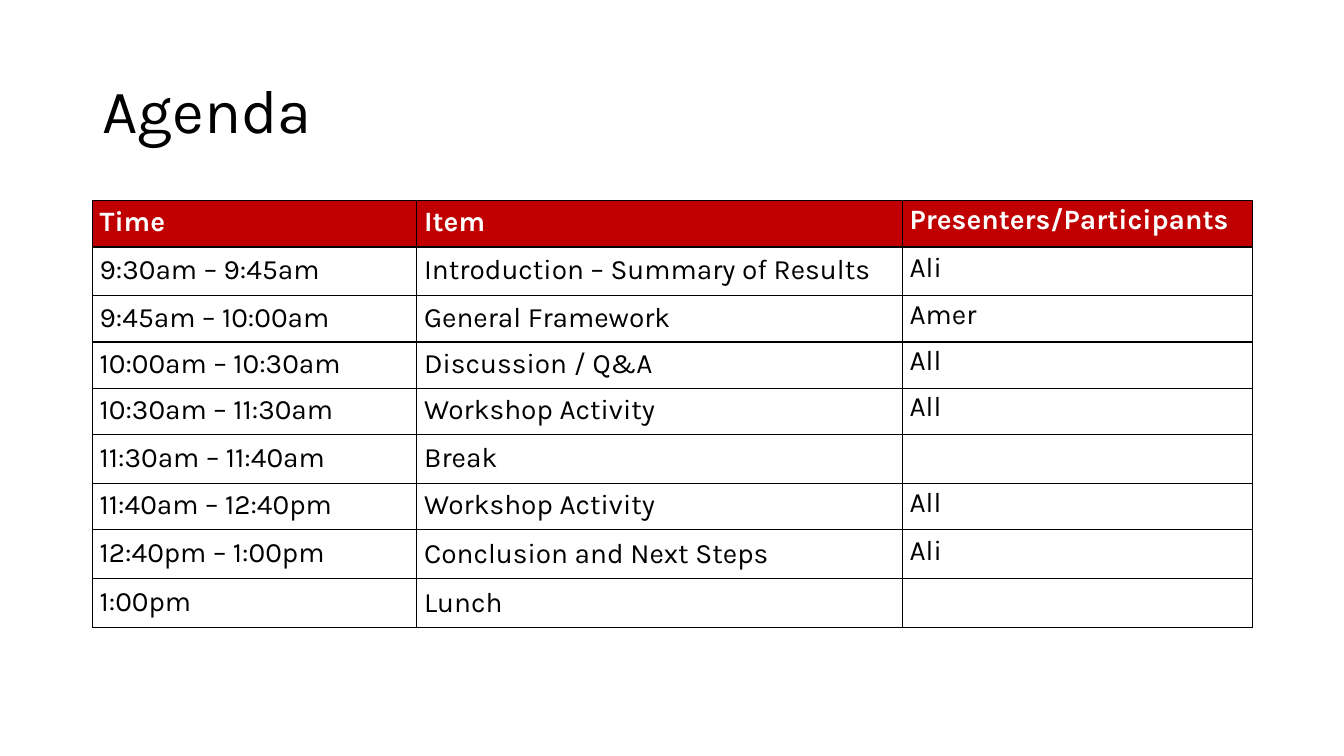
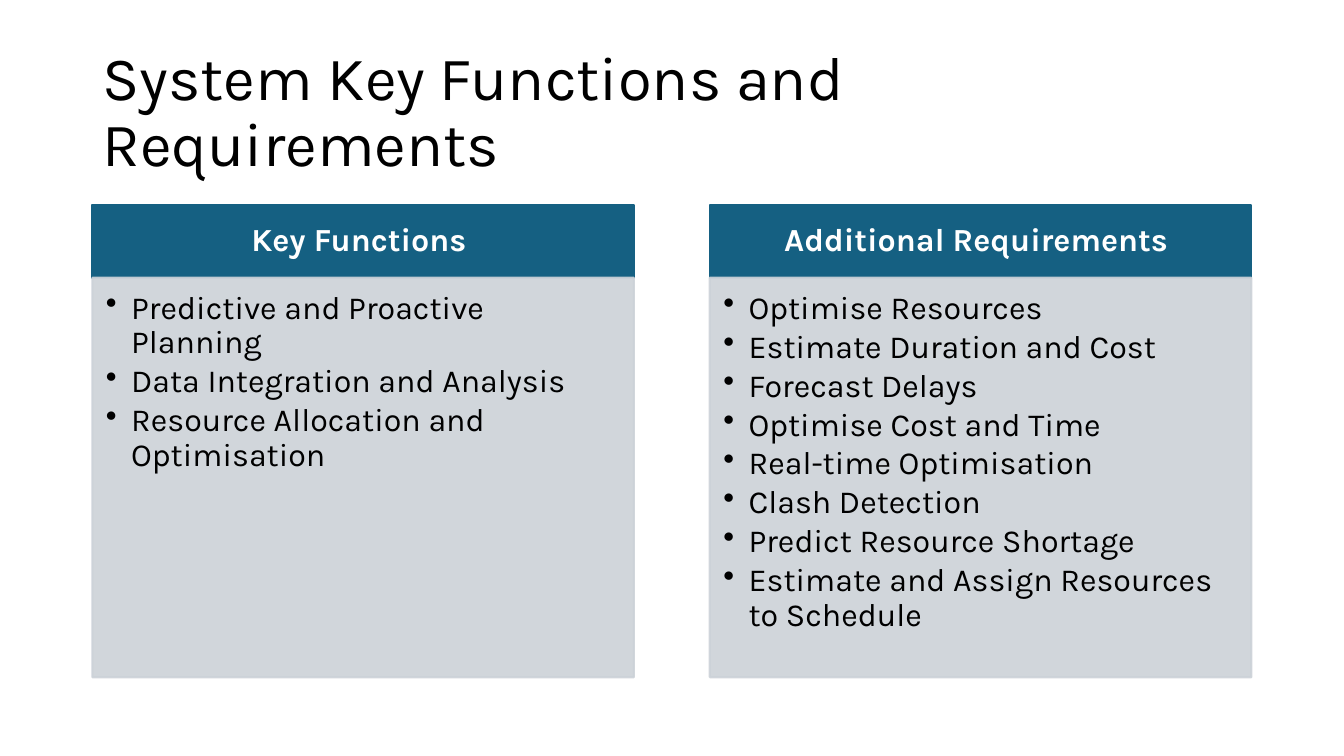
"""Build a two-slide deck: a workshop agenda and a pair of requirement panels."""
from lxml import etree
from pptx import Presentation
from pptx.dml.color import RGBColor
from pptx.enum import shapes, text
from pptx.oxml import ns
from pptx.util import Pt

COLOURS = {"ink": "000000", "paper": "FFFFFF", "header": "C00000",
           "heading": "156082", "panel": "CCD2D8"}
FONT = "Karla"
LEFT = 66
TITLE_BOX = (LEFT, 29, 828, 104)

AGENDA = [
    ("Time", "Item", "Presenters/Participants"),
    ("9:30am – 9:45am", "Introduction – Summary of Results", "Ali"),
    ("9:45am – 10:00am", "General Framework", "Amer"),
    ("10:00am – 10:30am", "Discussion / Q&A", "All"),
    ("10:30am – 11:30am", "Workshop Activity", "All"),
    ("11:30am – 11:40am", "Break", ""),
    ("11:40am – 12:40pm", "Workshop Activity", "All"),
    ("12:40pm – 1:00pm", "Conclusion and Next Steps", "Ali"),
    ("1:00pm", "Lunch", ""),
]
COLUMN_WIDTHS = (231.8, 346.8, 250)
ROW_HEIGHT, TALL_ROW_HEIGHT = 33.1, 34.9
TALL_ROWS = {1, 5, 7, 8}
NATURAL_SPACING = {"Ali", "Conclusion and Next Steps", "Lunch"}

PANELS = [
    ("Key Functions ", [
        "Predictive and Proactive Planning",
        "Data Integration and Analysis",
        "Resource Allocation and Optimisation",
    ]),
    ("Additional Requirements ", [
        "Optimise Resources",
        "Estimate Duration and Cost",
        "Forecast Delays",
        "Optimise Cost and Time",
        "Real-time Optimisation",
        "Clash Detection",
        "Predict Resource Shortage",
        "Estimate and Assign Resources to Schedule",
    ]),
]
PANEL_WIDTH, PANEL_PITCH = 386.8, 441
HEADING_TOP, HEADING_HEIGHT, LIST_HEIGHT = 146.4, 52, 285.4


def colour(name):
    return RGBColor.from_string(COLOURS[name])


def style(para, size, ink="ink", bold=False):
    para.font.name = FONT
    para.font.size = Pt(size)
    para.font.bold = bold
    para.font.color.rgb = colour(ink)


def set_insets(target, left, top, right, bottom):
    target.margin_left, target.margin_top = Pt(left), Pt(top)
    target.margin_right, target.margin_bottom = Pt(right), Pt(bottom)


def add_page(deck, title):
    page = deck.slides.add_slide(deck.slide_layouts[5])
    box = page.shapes.title
    box.left, box.top, box.width, box.height = map(Pt, TITLE_BOX)
    frame = box.text_frame
    frame.text = title
    frame.word_wrap = True
    frame.auto_size = text.MSO_AUTO_SIZE.NONE
    frame.vertical_anchor = text.MSO_ANCHOR.MIDDLE
    para = frame.paragraphs[0]
    para.alignment = text.PP_ALIGN.LEFT
    para.line_spacing = 0.9
    style(para, 44)
    return page


def add_borders(cell):
    properties = cell._tc.get_or_add_tcPr()
    for side in ("lnL", "lnR", "lnT", "lnB"):
        line = etree.SubElement(properties, ns.qn(f"a:{side}"), w=str(Pt(0.95)))
        fill = etree.SubElement(line, ns.qn("a:solidFill"))
        etree.SubElement(fill, ns.qn("a:srgbClr"), val=COLOURS["ink"])


def fill_cell(cell, words, is_header, is_last_column):
    add_borders(cell)
    if is_header:
        cell.fill.solid()
        cell.fill.fore_color.rgb = colour("header")
    else:
        cell.fill.background()
    set_insets(cell, 5.2, 3.6, 5.2, 3.6)
    cell.vertical_anchor = text.MSO_ANCHOR.TOP if is_last_column else text.MSO_ANCHOR.MIDDLE
    cell.text = words
    para = cell.text_frame.paragraphs[0]
    if words not in NATURAL_SPACING:
        para.line_spacing = Pt(21.8)
    style(para, 20, "paper" if is_header else "ink", is_header)


def add_agenda(page):
    heights = [TALL_ROW_HEIGHT if index in TALL_ROWS else ROW_HEIGHT
               for index in range(len(AGENDA))]
    frame = page.shapes.add_table(len(AGENDA), len(COLUMN_WIDTHS), Pt(LEFT), Pt(143.3),
                                  Pt(sum(COLUMN_WIDTHS)), Pt(sum(heights)))
    table = frame.table
    table.first_row = table.horz_banding = False
    for column, width in zip(table.columns, COLUMN_WIDTHS):
        column.width = Pt(width)
    for row_index, (row, height, entries) in enumerate(zip(table.rows, heights, AGENDA)):
        row.height = Pt(height)
        for column_index, words in enumerate(entries):
            fill_cell(row.cells[column_index], words, row_index == 0,
                      column_index == len(entries) - 1)


def add_block(page, left, top, height, name, opacity=100):
    block = page.shapes.add_shape(shapes.MSO_SHAPE.RECTANGLE, Pt(left), Pt(top),
                                  Pt(PANEL_WIDTH), Pt(height))
    block.shadow.inherit = False
    block.fill.solid()
    block.fill.fore_color.rgb = colour(name)
    block.line.color.rgb = colour(name)
    block.line.width = Pt(1.5)
    if opacity < 100:
        for tint in block._element.spPr.iter(ns.qn("a:srgbClr")):
            etree.SubElement(tint, ns.qn("a:alpha"), val=str(opacity * 1000))
    block.text_frame.word_wrap = True
    return block


def add_bullet(para):
    properties = para._p.get_or_add_pPr()
    properties.set("marL", str(Pt(18)))
    properties.set("indent", str(-Pt(18)))
    etree.SubElement(properties, ns.qn("a:buChar"), char="•")


def add_panel(page, left, heading, items):
    frame = add_block(page, left, HEADING_TOP, HEADING_HEIGHT, "heading").text_frame
    set_insets(frame, 12.9, 7.4, 12.9, 7.4)
    frame.vertical_anchor = text.MSO_ANCHOR.MIDDLE
    frame.text = heading
    para = frame.paragraphs[0]
    para.alignment = text.PP_ALIGN.CENTER
    para.line_spacing = 0.9
    style(para, 23, "paper", True)

    frame = add_block(page, left, HEADING_TOP + HEADING_HEIGHT, LIST_HEIGHT,
                      "panel", 90).text_frame
    set_insets(frame, 9.7, 9.7, 12.9, 14.5)
    frame.vertical_anchor = text.MSO_ANCHOR.TOP
    frame.text = "\n".join(items)
    for para in frame.paragraphs:
        add_bullet(para)
        para.alignment = text.PP_ALIGN.LEFT
        para.line_spacing = 0.9
        para.space_after = Pt(3)
        style(para, 23)


def main():
    deck = Presentation()
    deck.slide_width, deck.slide_height = Pt(960), Pt(540)
    add_agenda(add_page(deck, "Agenda"))
    page = add_page(deck, "System Key Functions and Requirements")
    for index, (heading, items) in enumerate(PANELS):
        add_panel(page, LEFT + index * PANEL_PITCH, heading, items)
    deck.save("out.pptx")


if __name__ == "__main__":
    main()
